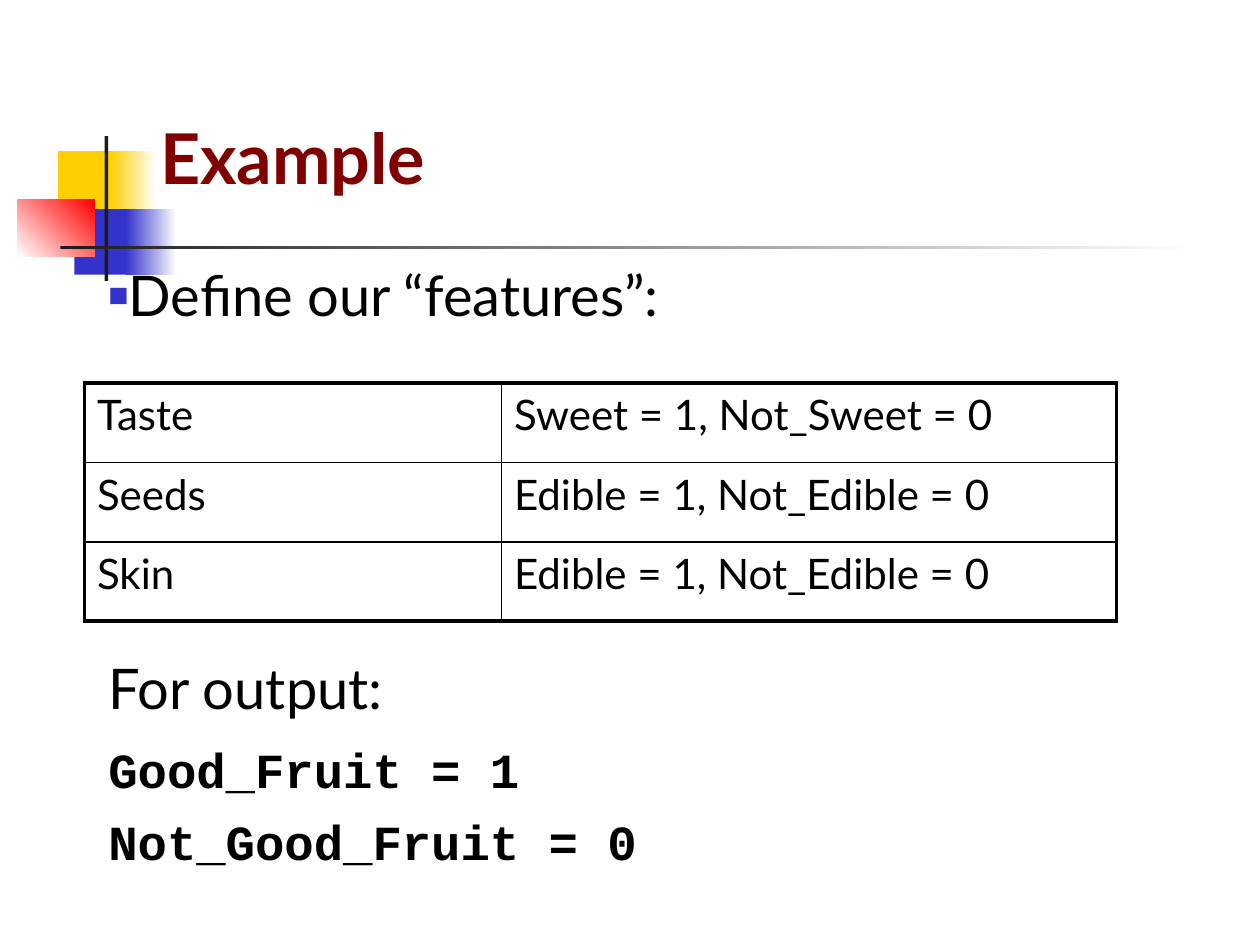
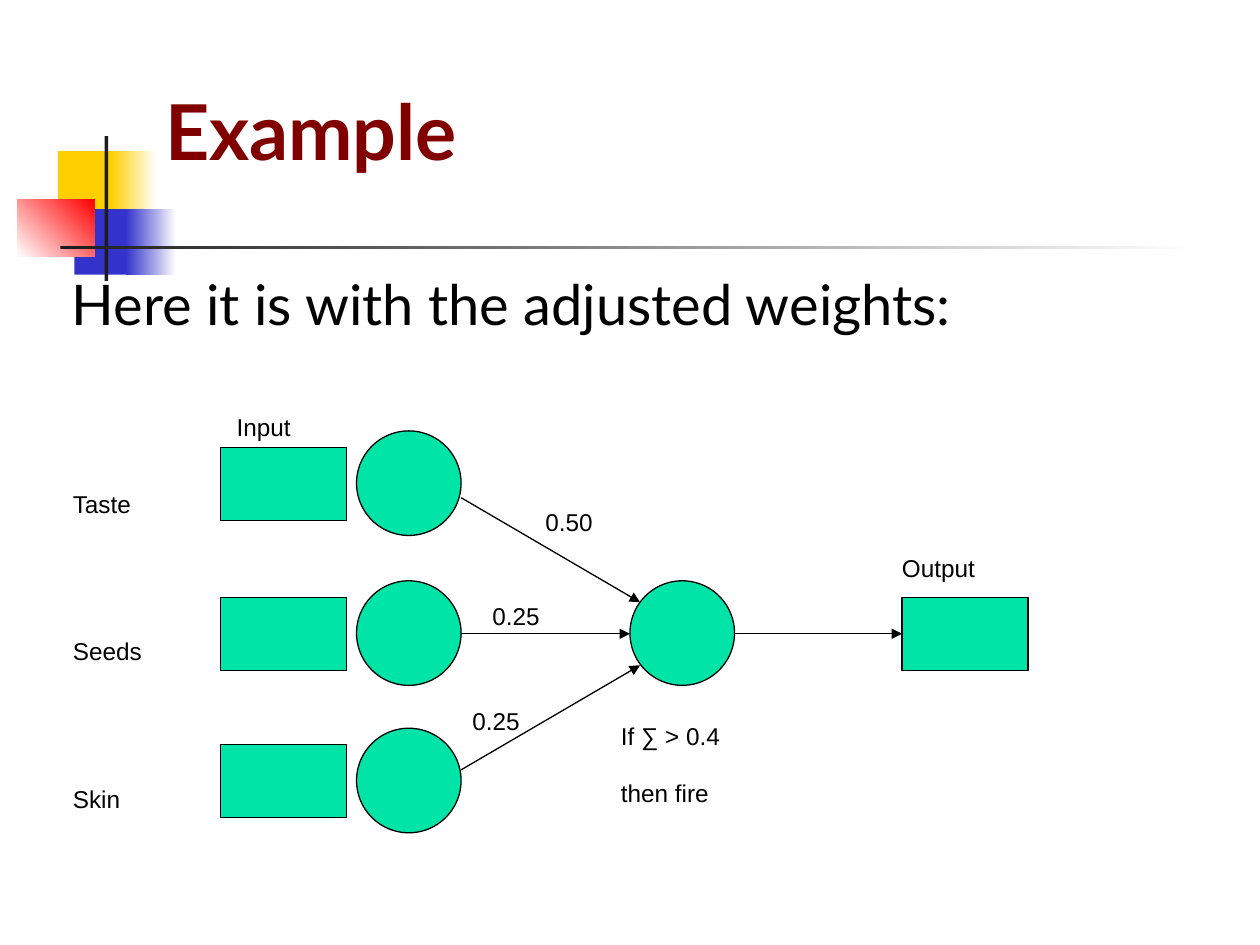
from lxml import etree
from pptx import Presentation
from pptx.dml.color import RGBColor as RGB
from pptx.enum.shapes import MSO_CONNECTOR as CONNECTOR, MSO_SHAPE as SHAPE
from pptx.enum.text import MSO_ANCHOR as ANCHOR, MSO_AUTO_SIZE as AUTO_SIZE, PP_ALIGN as ALIGN
from pptx.oxml.ns import qn
from pptx.util import Emu, Pt

SCALE = 9144  # EMU in one px, 100 px to the inch


class Theme:
    black, white, ink = "000000", "FFFFFF", "1C1C1C"
    maroon, yellow, blue, red, green = "800000", "FFCF01", "3333CC", "FF0000", "00E4A8"
    heading_font, code_font, label_font = "Lato", "Courier New", "Arial"
    body_size, code_size, cell_size, label_size = 32, 28, 24, 24
    outer_border, thin_border, outline = 2.25, 1, 0.75


def px(*values):
    return [Emu(value * SCALE) for value in values]


def format_text(paragraph, font, size, color=Theme.black, bold=False):
    paragraph.alignment = ALIGN.LEFT
    for run in paragraph.runs:
        run.font.name = font
        run.font.size = Pt(size)
        run.font.bold = bold
        run.font.color.rgb = RGB.from_string(color)


presentation = Presentation()
presentation.slide_width, presentation.slide_height = px(1000, 750)
layout = presentation.slide_layouts[1]
for placeholder in list(layout.placeholders)[2:]:
    layout.shapes.element.remove(placeholder.element)

# Titles and body frames of both slides
slides = []
for title_box, title_size, body_box in [
    ((122, 44, 852, 160), 40, (75, 202, 850, 450)),
    ((126, 23, 852, 160), 44, (43, 147, 900, 537)),
]:
    slide = presentation.slides.add_slide(layout)
    title, body = slide.shapes.title, slide.placeholders[1]
    for shape, box in [(title, title_box), (body, body_box)]:
        shape.left, shape.top, shape.width, shape.height = px(*box)
        shape.text_frame.auto_size = AUTO_SIZE.NONE
    frame = title.text_frame
    frame.margin_left, frame.margin_top, frame.margin_right, frame.margin_bottom = px(5, 5, 5, 5)
    frame.vertical_anchor = ANCHOR.MIDDLE
    frame.text = "Example"
    format_text(frame.paragraphs[0], Theme.heading_font, title_size, Theme.maroon, True)
    slides.append(slide)
features_slide, network_slide = slides

# Corner squares and rules, shared through the layout
ornaments = []
for box, start, end, angle in [
    ((46, 120, 48, 52), Theme.yellow, None, 0),
    ((88, 120, 36, 52), Theme.yellow, Theme.white, 0),
    ((59, 166, 46, 52), Theme.blue, None, 0),
    ((100, 166, 40, 52), Theme.blue, Theme.white, 0),
    ((14, 158, 61, 46), Theme.white, Theme.red, 45),
    ((83, 108, 3, 115), Theme.ink, None, 0),
    ((48, 195, 900, 3), Theme.ink, Theme.white, 0),
]:
    shape = features_slide.shapes.add_shape(SHAPE.RECTANGLE, *px(*box))
    shape.shadow.inherit = False
    shape.line.fill.background()
    if end:
        shape.fill.gradient()
        shape.fill.gradient_angle = angle
        for stop, color in zip(shape.fill.gradient_stops, (start, end)):
            stop.color.rgb = RGB.from_string(color)
    else:
        shape.fill.solid()
        shape.fill.fore_color.rgb = RGB.from_string(start)
    ornaments.append(shape.element)
for position, ornament in enumerate(ornaments, start=2):
    layout.shapes.element.insert(position, ornament)

# Slide 1: body text, with room for the table after the first line
body_frame = features_slide.placeholders[1].text_frame
for index, (text, font, size, bold, space) in enumerate([
    ("Define our “features”:", Theme.heading_font, Theme.body_size, False, 0),
    ("For output:", Theme.heading_font, Theme.body_size, False, 186),
    ("Good_Fruit = 1", Theme.code_font, Theme.code_size, True, 10.5),
    ("Not_Good_Fruit = 0", Theme.code_font, Theme.code_size, True, 7.5),
]):
    paragraph = body_frame.paragraphs[0] if index == 0 else body_frame.add_paragraph()
    paragraph.text = text
    format_text(paragraph, font, size, bold=bold)
    paragraph.space_before = Pt(space)

# Slide 2: body text
body_frame = network_slide.placeholders[1].text_frame
body_frame.margin_top = px(67)[0]
body_frame.text = "Here it is with the adjusted weights:"
format_text(body_frame.paragraphs[0], Theme.heading_font, Theme.body_size)
body_frame.paragraphs[0].space_before = Pt(0)

# Indents and bullets
for slide, margin, indent in [(features_slide, 0, 1), (network_slide, 46, -42)]:
    for index, properties in enumerate(slide.placeholders[1].element.iter(qn("a:pPr"))):
        properties.set("marL", str(margin * SCALE))
        properties.set("indent", str(indent * SCALE))
        if slide is features_slide and index == 0:
            bullet_color = etree.SubElement(properties, qn("a:buClr"))
            etree.SubElement(bullet_color, qn("a:srgbClr"), val=Theme.blue)
            etree.SubElement(properties, qn("a:buSzPct"), val="60000")
            etree.SubElement(properties, qn("a:buFont"), typeface=Theme.label_font)
            etree.SubElement(properties, qn("a:buChar"), char="■")
        else:
            etree.SubElement(properties, qn("a:buNone"))

# Slide 1: feature table
features = [
    ("Taste", "Sweet = 1, Not_Sweet = 0"),
    ("Seeds", "Edible = 1, Not_Edible = 0"),
    ("Skin", "Edible = 1, Not_Edible = 0"),
]
table = features_slide.shapes.add_table(3, 2, *px(67, 304, 819, 189)).table
table.first_row = table.horz_banding = False
for column, width in zip(table.columns, px(331, 488)):
    column.width = width
for row_index, row in enumerate(features):
    for column_index, text in enumerate(row):
        cell = table.cell(row_index, column_index)
        cell.text = text
        cell.fill.background()
        format_text(cell.text_frame.paragraphs[0], Theme.heading_font, Theme.cell_size)
        cell_properties = cell.text_frame._txBody.getparent().find(qn("a:tcPr"))
        for position, (side, is_outer) in enumerate([
            ("lnL", column_index == 0),
            ("lnR", column_index == 1),
            ("lnT", row_index == 0),
            ("lnB", row_index == 2),
        ]):
            width = Pt(Theme.outer_border if is_outer else Theme.thin_border)
            border = etree.Element(qn("a:" + side), w=str(int(width)))
            border_fill = etree.SubElement(border, qn("a:solidFill"))
            etree.SubElement(border_fill, qn("a:srgbClr"), val=Theme.black)
            cell_properties.insert(position, border)

# Slide 2: neurons and boxes; the last box is the output
circle, box_width, box_height = 83, 100, 58
row_tops = [342, 461, 578]
nodes = [(SHAPE.OVAL, 283, top, circle, circle) for top in row_tops]
nodes += [(SHAPE.RECTANGLE, 175, top + 13, box_width, box_height) for top in row_tops]
nodes += [
    (SHAPE.OVAL, 500, 461, circle, circle),
    (SHAPE.RECTANGLE, 716, 474, box_width, box_height),
]
for kind, *box in nodes:
    node = network_slide.shapes.add_shape(kind, *px(*box))
    node.shadow.inherit = False
    node.fill.solid()
    node.fill.fore_color.rgb = RGB.from_string(Theme.green)
    node.line.color.rgb = RGB.from_string(Theme.black)
    node.line.width = Pt(Theme.outline)
output_box = node

# Slide 2: arrows; the last one leads to the output box
for ends in [
    (366, 395, 508, 478),
    (366, 611, 508, 528),
    (366, 503, 500, 503),
    (583, 503, 716, 503),
]:
    arrow = network_slide.shapes.add_connector(CONNECTOR.STRAIGHT, *px(*ends))
    arrow.line.color.rgb = RGB.from_string(Theme.black)
    arrow.line.width = Pt(Theme.outline)
    shape_properties = arrow.element.find(qn("p:spPr"))
    etree.SubElement(shape_properties.find(qn("a:ln")), qn("a:tailEnd"), type="triangle")
    etree.SubElement(shape_properties, qn("a:effectLst"))
arrow.end_connect(output_box, 1)

# Slide 2: labels, set as subscript text
for text, left, top, width, height in [
    ("If ∑ > 0.4\nthen fire", 483, 545, 137, 70),
    ("0.50", 423, 375, 85, 50),
    ("0.25", 381, 450, 85, 50),
    ("0.25", 365, 533, 85, 50),
    ("Input", 178, 300, 94, 50),
    ("Output", 706, 412, 120, 50),
    ("Taste", 48, 361, 103, 50),
    ("Seeds", 48, 478, 115, 50),
    ("Skin", 48, 595, 85, 50),
]:
    label = network_slide.shapes.add_textbox(*px(left, top, width, height))
    label.text_frame.word_wrap = False
    label.text_frame.auto_size = AUTO_SIZE.SHAPE_TO_FIT_TEXT
    label.text_frame.text = text
    for paragraph in label.text_frame.paragraphs:
        format_text(paragraph, Theme.label_font, Theme.label_size)
    for run_properties in label.element.iter(qn("a:rPr")):
        run_properties.set("baseline", "-25000")

presentation.save("out.pptx")
